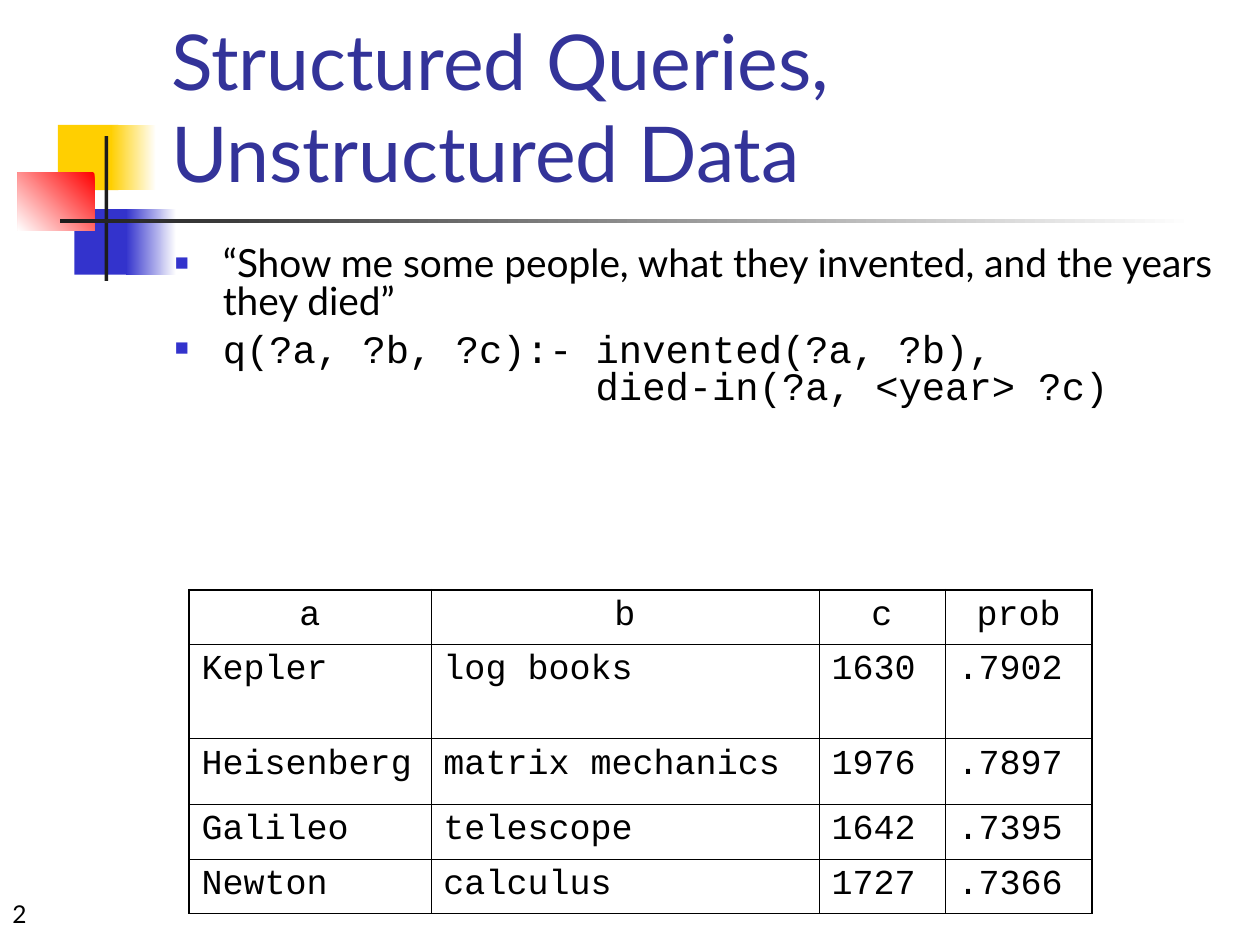
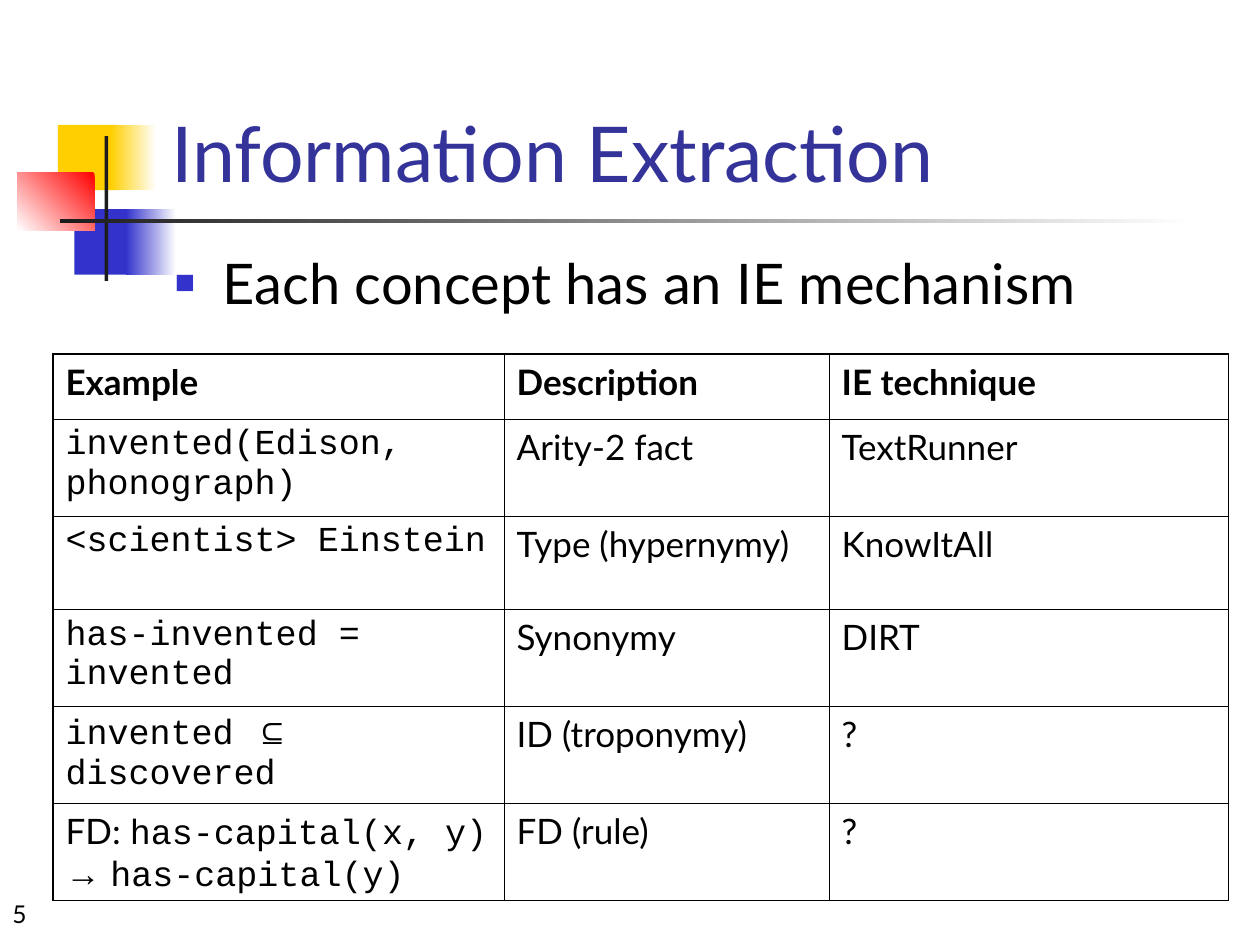
import pptx
import pptx.util
import pptx.dml.color
import pptx.enum.shapes
import pptx.enum.text
import pptx.oxml
import pptx.oxml.ns

Inches = pptx.util.Inches
Pt = pptx.util.Pt
RGB = pptx.dml.color.RGBColor
ALIGN = pptx.enum.text.PP_ALIGN
ANCHOR = pptx.enum.text.MSO_ANCHOR

WHITE = RGB(0xFF, 0xFF, 0xFF)
BLACK = RGB(0x00, 0x00, 0x00)
GOLD = RGB(0xFF, 0xCF, 0x01)
BLUE = RGB(0x33, 0x33, 0xCC)
NAVY = RGB(0x33, 0x33, 0x99)
RED = RGB(0xFF, 0x00, 0x00)
DARK = RGB(0x1C, 0x1C, 0x1C)
SANS, MONO, SIGN = "Lato", "Courier New", "Arial"
NS = pptx.oxml.ns.nsdecls("a")
THICK, THIN = Pt(1.08), Pt(0.45)

DECOR = [
    (0.46, 0.99, 0.48, 0.52, [GOLD], 0),
    (0.88, 0.99, 0.36, 0.52, [WHITE, GOLD], 180),
    (0.59, 1.66, 0.46, 0.52, [BLUE], 0),
    (1, 1.66, 0.4, 0.52, [WHITE, BLUE], 180),
    (0.14, 1.37, 0.61, 0.46, [RED, WHITE], 225),
    (0.83, 1.08, 0.03, 1.15, [DARK], 0),
    (0.48, 1.74, 9, 0.03, [WHITE, DARK], 180),
]

PAGES = [
    {
        "title": "Structured Queries,\vUnstructured Data",
        "body": (8.71, 1.42, 22.2, 0.8),
        "points": [
            ("“Show me some people, what they invented, and the years they died”", SANS),
            ("q(?a, ?b, ?c):- invented(?a, ?b),\v                died-in(?a, <year> ?c)", MONO),
        ],
        "place": (1.5, 4.68),
        "cols": [1.92, 3.08, 1, 1.17],
        "rows": [0.43, 0.75, 0.52, 0.43, 0.43],
        "fonts": [MONO] * 4,
        "head": (MONO, ALIGN.CENTER, False),
        "cells": [
            ["a", "b", "c", "prob"],
            ["Kepler", "log books", "1630", ".7902"],
            ["Heisenberg", "matrix mechanics", "1976", ".7897"],
            ["Galileo", "telescope", "1642", ".7395"],
            ["Newton", "calculus", "1727", ".7366"],
        ],
        "number": "2",
    },
    {
        "title": "Information Extraction",
        "body": (8.5, 0.75, 32, 1.0),
        "points": [("Each concept has an IE mechanism", SANS)],
        "place": (0.42, 2.81),
        "cols": [3.58, 2.58, 3.17],
        "rows": [0.52, 0.77, 0.74, 0.77, 0.74, 0.77],
        "fonts": [MONO, SANS, SANS],
        "head": (SANS, ALIGN.LEFT, True),
        "cells": [
            ["Example", "Description", "IE technique"],
            ["invented(Edison, phonograph)", "Arity-2 fact", "TextRunner"],
            ["<scientist> Einstein", "Type (hypernymy)", "KnowItAll"],
            ["has-invented = invented", "Synonymy", "DIRT"],
            [[("invented ", MONO), ("⊆ ", SIGN), ("discovered", MONO)], "ID (troponymy)", "?"],
            [[("FD: ", SANS), ("has-capital(x, y) ", MONO), ("→ ", SIGN), ("has-capital(y)", MONO)],
             "FD (rule)", "?"],
        ],
        "number": "5",
    },
]


def write(para, text, font, size, color=BLACK):
    if isinstance(text, str):
        para.text = text
        para.font.name = font
    else:
        for part, face in text:
            run = para.add_run()
            run.text = part
            run.font.name = face
    para.font.size = Pt(size)
    para.font.color.rgb = color


def add_box(slide, left, top, width, height, anchor):
    frame = slide.shapes.add_textbox(
        Inches(left), Inches(top), Inches(width), Inches(height)).text_frame
    frame.word_wrap = True
    frame.vertical_anchor = anchor
    return frame


prs = pptx.Presentation()
prs.slide_width, prs.slide_height = Inches(10), Inches(7.5)

for page in PAGES:
    slide = prs.slides.add_slide(prs.slide_layouts[6])

    for left, top, width, height, tones, angle in DECOR:
        block = slide.shapes.add_shape(
            pptx.enum.shapes.MSO_SHAPE.RECTANGLE,
            Inches(left), Inches(top), Inches(width), Inches(height))
        block.shadow.inherit = False
        block.line.fill.background()
        if len(tones) == 1:
            block.fill.solid()
            block.fill.fore_color.rgb = tones[0]
        else:
            block.fill.gradient()
            block.fill.gradient_angle = angle
            for stop, tone in zip(block.fill.gradient_stops, tones):
                stop.color.rgb = tone

    frame = add_box(slide, 1.26, 0.02, 8.52, 1.6, ANCHOR.BOTTOM)
    write(frame.paragraphs[0], page["title"], SANS, 44, NAVY)

    width, height, size, space = page["body"]
    frame = add_box(slide, 1.29, 1.92, width, height, ANCHOR.TOP)
    for index, (text, font) in enumerate(page["points"]):
        para = frame.add_paragraph() if index else frame.paragraphs[0]
        props = para._p.get_or_add_pPr()
        props.set("marL", str(Inches(0.38)))
        props.set("indent", str(-Inches(0.38)))
        for mark in (f'<a:buClr {NS}><a:srgbClr val="{BLUE}"/></a:buClr>',
                     f'<a:buSzPct {NS} val="60000"/>',
                     f'<a:buFont {NS} typeface="{SIGN}"/>',
                     f'<a:buChar {NS} char="■"/>'):
            props.append(pptx.oxml.parse_xml(mark))
        para.line_spacing = space
        if index:
            para.space_before = Pt(6)
        write(para, text, font, size)

    cols, rows = page["cols"], page["rows"]
    left, top = page["place"]
    grid = slide.shapes.add_table(
        len(rows), len(cols), Inches(left), Inches(top),
        Inches(sum(cols)), Inches(sum(rows))).table
    grid.first_row = grid.horz_banding = False
    for col, width in zip(grid.columns, cols):
        col.width = Inches(width)
    for row, height in zip(grid.rows, rows):
        row.height = Inches(height)
    for r, line in enumerate(page["cells"]):
        for c, text in enumerate(line):
            cell = grid.cell(r, c)
            para = cell.text_frame.paragraphs[0]
            if r == 0:
                font, para.alignment, bold = page["head"]
            else:
                font, bold = page["fonts"][c], False
            write(para, text, font, 20)
            para.font.bold = bold
            edges = {"L": c == 0, "R": c == len(cols) - 1,
                     "T": r == 0, "B": r == len(rows) - 1}
            props = cell._tc.get_or_add_tcPr()
            for side, outer in edges.items():
                props.append(pptx.oxml.parse_xml(
                    f'<a:ln{side} {NS} w="{THICK if outer else THIN}"><a:solidFill>'
                    f'<a:srgbClr val="{BLACK}"/></a:solidFill></a:ln{side}>'))
            cell.fill.background()

    frame = add_box(slide, 0, 6.92, 2.08, 0.5, ANCHOR.BOTTOM)
    write(frame.paragraphs[0], page["number"], SANS, 14)

prs.save("out.pptx")
